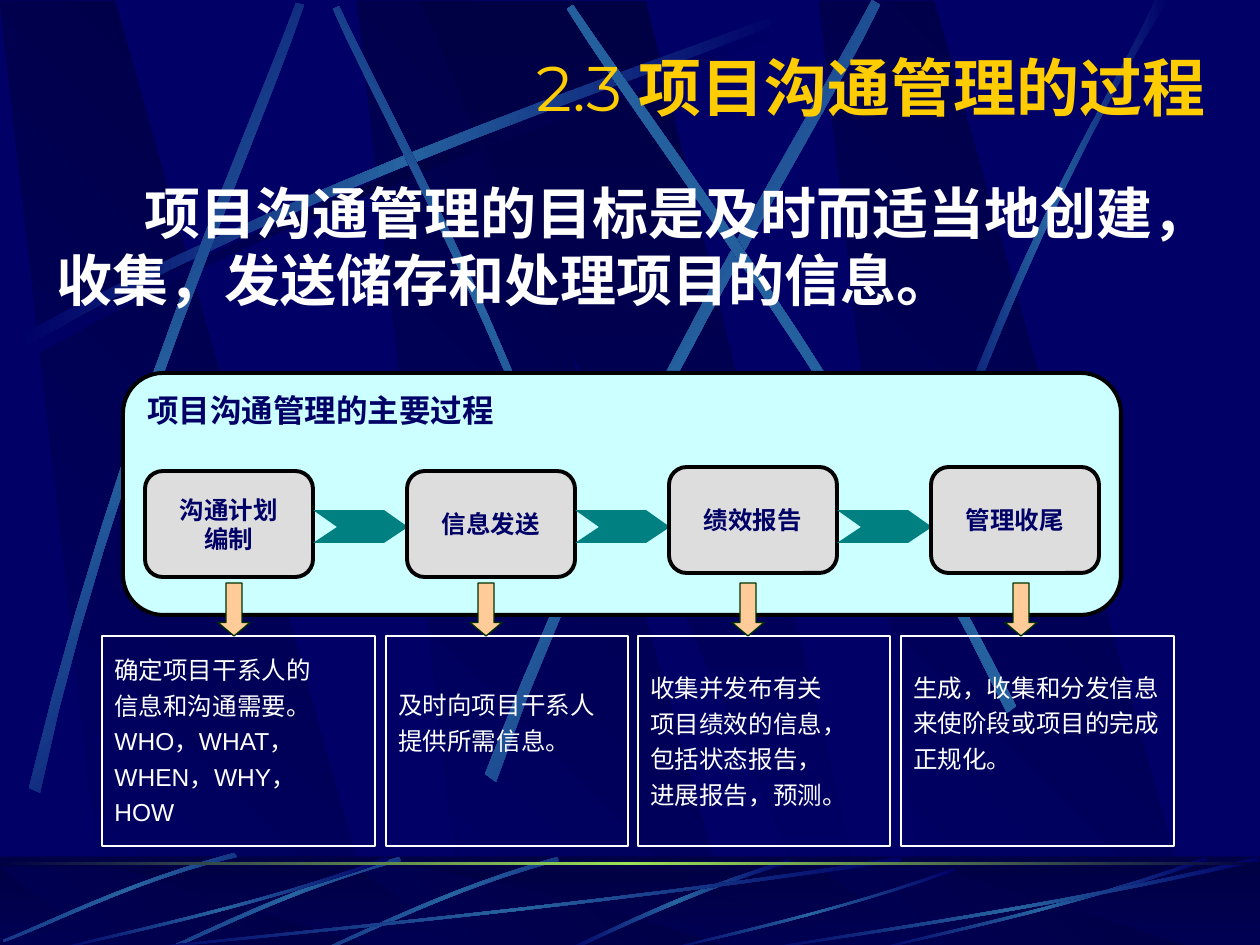
import copy

import pptx
import pptx.dml.color
import pptx.enum.shapes
import pptx.enum.text
import pptx.oxml.ns
import pptx.util

RGB = pptx.dml.color.RGBColor
NAVY = RGB(0x00, 0x00, 0x66)
DARK = RGB(0x00, 0x00, 0x44)
BLUE = RGB(0x26, 0x63, 0xA0)
LIME = RGB(0x9C, 0xE1, 0x57)
GOLD = RGB(0xFF, 0xCC, 0x00)
WHITE = RGB(0xFF, 0xFF, 0xFF)
BLACK = RGB(0x00, 0x00, 0x00)
CYAN = RGB(0xCC, 0xFF, 0xFF)
GRAY = RGB(0xDD, 0xDD, 0xDD)
TEAL = RGB(0x00, 0x80, 0x80)
PEACH = RGB(0xFF, 0xCC, 0x99)
GREEN = RGB(0x00, 0x33, 0x00)

SHAPE = pptx.enum.shapes.MSO_SHAPE
ALIGN = pptx.enum.text.PP_ALIGN
ANCHOR = pptx.enum.text.MSO_ANCHOR
SCALE = 914400 / 126

RAYS = [
    (0, [0], [(18, 336), (350, 158), (653, 64), (781, 13),
              (785, 20), (658, 77), (312, 180), (21, 349)]),
    (45, [0], [(580, 549), (493, 295), (381, 97), (339, 6),
               (333, 9), (372, 100), (501, 325), (572, 553)]),
    (311.7, [0], [(29, 788), (117, 421), (248, 132), (296, 3),
                  (304, 5), (261, 136), (108, 464), (40, 793)]),
    (321.6, [0], [(485, 774), (627, 403), (804, 129), (872, 0),
                  (880, 5), (818, 136), (612, 447), (496, 782)]),
    (34.8, [0], [(1016, 706), (844, 369), (650, 120), (573, 5),
                 (567, 9), (639, 127), (863, 410), (1007, 713)]),
    (0, [0], [(930, 495), (1026, 218), (1119, 83), (1155, 0),
              (1168, 0), (1053, 183), (969, 406), (937, 500)]),
]
FLOOR = [
    (0, [0], [(790, 859), (677, 893), (601, 935), (564, 950),
              (571, 951), (617, 929), (719, 882), (791, 863)]),
    (314.9, [0, -158], [(557, 857), (447, 888), (362, 932), (323, 949),
                        (324, 951), (363, 936), (460, 886), (559, 861)]),
    (314.9, [0], [(234, 853), (125, 882), (42, 925), (3, 940),
                  (4, 942), (43, 929), (139, 879), (237, 857)]),
    (0, [0], [(903, 861), (566, 911), (260, 937), (130, 951),
              (126, 950), (255, 934), (605, 905), (900, 857)]),
    (0, [0, 819], [(388, 861), (243, 911), (111, 937), (54, 951),
                   (53, 950), (108, 934), (260, 905), (387, 857)]),
    (0, [0], [(955, 871), (829, 915), (714, 939), (665, 951),
              (664, 950), (712, 936), (843, 910), (954, 868)]),
    (0, [0], [(1260, 861), (1042, 911), (843, 937), (759, 951),
              (756, 950), (839, 934), (1066, 905), (1257, 857)]),
]
STEPS = [(471, ["沟通计划", "编制"]), (471, ["信息发送"]),
         (467, ["绩效报告"]), (467, ["管理收尾"])]
NOTES = [
    (102, 273, 218, 0, ["确定项目干系人的", "信息和沟通需要。", "WHO，WHAT，", "WHEN，WHY，", "HOW"]),
    (386, 242, 470, 36, ["及时向项目干系人", "提供所需信息。"]),
    (638, 252, 732, 0, ["收集并发布有关", "项目绩效的信息，", "包括状态报告，", "进展报告，预测。"]),
    (901, 273, 1005, 36, ["生成，收集和分发信息", "来使阶段或项目的完成", "正规化。"]),
]


def px(size):
    return pptx.util.Emu(round(size * SCALE))


def curve(a, b, c, d, count=12):
    for step in range(count + 1):
        t = step / count
        u = 1 - t
        yield tuple(u**3 * p + 3 * u * u * t * q + 3 * u * t * t * r + t**3 * s
                    for p, q, r, s in zip(a, b, c, d))


def write(par, text, size=14, color=WHITE, font="Arial", bold=False):
    run = par.add_run()
    run.text = text
    run.font.size = pptx.util.Pt(size)
    run.font.name = font
    run.font.bold = bold
    run.font.color.rgb = color


class Deck:
    def __init__(self):
        self.show = pptx.Presentation()
        self.show.slide_width = px(1260)
        self.show.slide_height = px(945)
        self.slide = self.show.slides.add_slide(self.show.slide_layouts[6])
        back = self.slide.background.fill
        back.solid()
        back.fore_color.rgb = NAVY

    def paint(self, shape, fill=None, line=None, width=0.75):
        shape.shadow.inherit = False
        if fill is None:
            shape.fill.background()
        else:
            shape.fill.solid()
            shape.fill.fore_color.rgb = fill
        if line is None:
            shape.line.fill.background()
        else:
            shape.line.color.rgb = line
            shape.line.width = pptx.util.Pt(width)
        return shape

    def blend(self, shape, colors, angle):
        self.paint(shape)
        shape.fill.gradient()
        first = shape._element.xpath(".//a:gs")[0]
        for _ in colors[2:]:
            first.addnext(copy.deepcopy(first))
        for rank, (stop, color) in enumerate(zip(shape.fill.gradient_stops, colors)):
            stop.position = rank / (len(colors) - 1)
            stop.color.rgb = color
        shape.fill.gradient_angle = angle

    def block(self, kind, x, y, w, h):
        return self.slide.shapes.add_shape(kind, px(x), px(y), px(w), px(h))

    def form(self, points):
        first, *rest = [(px(x), px(y)) for x, y in points]
        maker = self.slide.shapes.build_freeform(*first, scale=1.0)
        maker.add_line_segments(rest, close=True)
        return maker.convert_to_shape()

    def panels(self, top, foot):
        for x in (357, 0, 819):
            slab = [(x, top), (x + 108, foot), (x + 381, foot), (x + 115, top)]
            self.blend(self.form(slab), [DARK, NAVY], 225)
        slab = [(420, top), (829, foot), (874, foot), (646, top)]
        self.blend(self.form(slab), [DARK, NAVY], 270)

    def streak(self, points, turn=0, shift=0, color=BLUE):
        edge = [(x + shift, y) for x, y in points]
        shape = self.form([*curve(*edge[:4]), *curve(*edge[4:])])
        self.blend(shape, [NAVY, color, NAVY], (180 + turn) % 360)

    def streaks(self, rows):
        for turn, shifts, points in rows:
            for shift in shifts:
                self.streak(points, turn, shift)

    def text(self, shape, lines, align=ALIGN.LEFT, anchor=ANCHOR.MIDDLE,
             wrap=False, before=0, space=None, foot=0, **style):
        frame = shape.text_frame
        frame.word_wrap = wrap
        frame.vertical_anchor = anchor
        frame.margin_bottom = pptx.util.Inches(0.05) + px(foot)
        for rank, line in enumerate(lines):
            par = frame.add_paragraph() if rank else frame.paragraphs[0]
            par.alignment = align
            par.space_before = pptx.util.Pt(before)
            par.line_spacing = space
            write(par, line, **style)
        return frame.paragraphs[0]

    def label(self, x, y, w, h, lines, **style):
        box = self.slide.shapes.add_textbox(px(x), px(y), px(w), px(h))
        return self.text(box, lines, wrap=True, **style)


def scene(deck):
    deck.panels(1, 947)
    deck.streak([(x + 8, y + 10) for x, y in RAYS[0][2]], color=DARK)
    deck.streaks(RAYS)
    deck.blend(deck.block(SHAPE.RECTANGLE, 0, 857, 1260, 94), [DARK, NAVY], 270)
    deck.panels(867, 950)
    veil = deck.paint(deck.block(SHAPE.RECTANGLE, 0, 856, 1260, 94), DARK)
    tint = veil._element.spPr.find(".//" + pptx.oxml.ns.qn("a:srgbClr"))
    tint.makeelement
    alpha = pptx.oxml.xmlchemy.OxmlElement("a:alpha")
    alpha.set("val", "50000")
    tint.append(alpha)
    deck.streaks(FLOOR)
    deck.blend(deck.block(SHAPE.RECTANGLE, 0, 862, 1260, 3), [DARK, LIME, DARK], 180)


def main():
    deck = Deck()
    scene(deck)
    title = deck.label(147, 42, 1071, 88, ["2.3 "], align=ALIGN.RIGHT,
                       size=36, color=GOLD, font="Montserrat")
    write(title, "项目沟通管理的过程", size=36, color=GOLD, font="Montserrat", bold=True)
    goal = deck.label(44, 185, 1216, 139, ["项目沟通管理的目标是及时而适当地创建，", "收集，发送储存和处理项目的信息。"],
                      anchor=ANCHOR.TOP, before=8, space=0.8, size=32, bold=True)
    goal._p.get_or_add_pPr().set("indent", str(px(88)))

    card = SHAPE.FLOWCHART_ALTERNATE_PROCESS
    frame = deck.paint(deck.block(card, 123, 373, 998, 242), CYAN, BLACK, 2.25)
    deck.text(frame, ["项目沟通管理的主要过程"], anchor=ANCHOR.TOP, before=4.5,
              size=18, color=NAVY, bold=True)
    for rank, (y, lines) in enumerate(STEPS):
        x = 145 + 262 * rank
        step = deck.paint(deck.block(card, x, y, 168, 106), GRAY, BLACK, 2.25)
        deck.text(step, lines, align=ALIGN.CENTER, color=NAVY,
                  font="Times New Roman", bold=True)
        if rank < 3:
            x += 168
            notch = [(x, 510), (x + 71, 510), (x + 95, 527),
                     (x + 71, 543), (x, 543), (x + 24, 527)]
            deck.paint(deck.form(notch), TEAL)
    for x, width, tip, foot, lines in NOTES:
        note = deck.paint(deck.block(SHAPE.RECTANGLE, x, 636, width, 210), line=WHITE)
        deck.text(note, lines, before=3.5, foot=foot)
        arrow = deck.paint(deck.block(SHAPE.DOWN_ARROW, tip, 583, 32, 53), PEACH, GREEN)
        arrow.adjustments[1] = 0.42
    deck.show.save("out.pptx")


if __name__ == "__main__":
    main()
